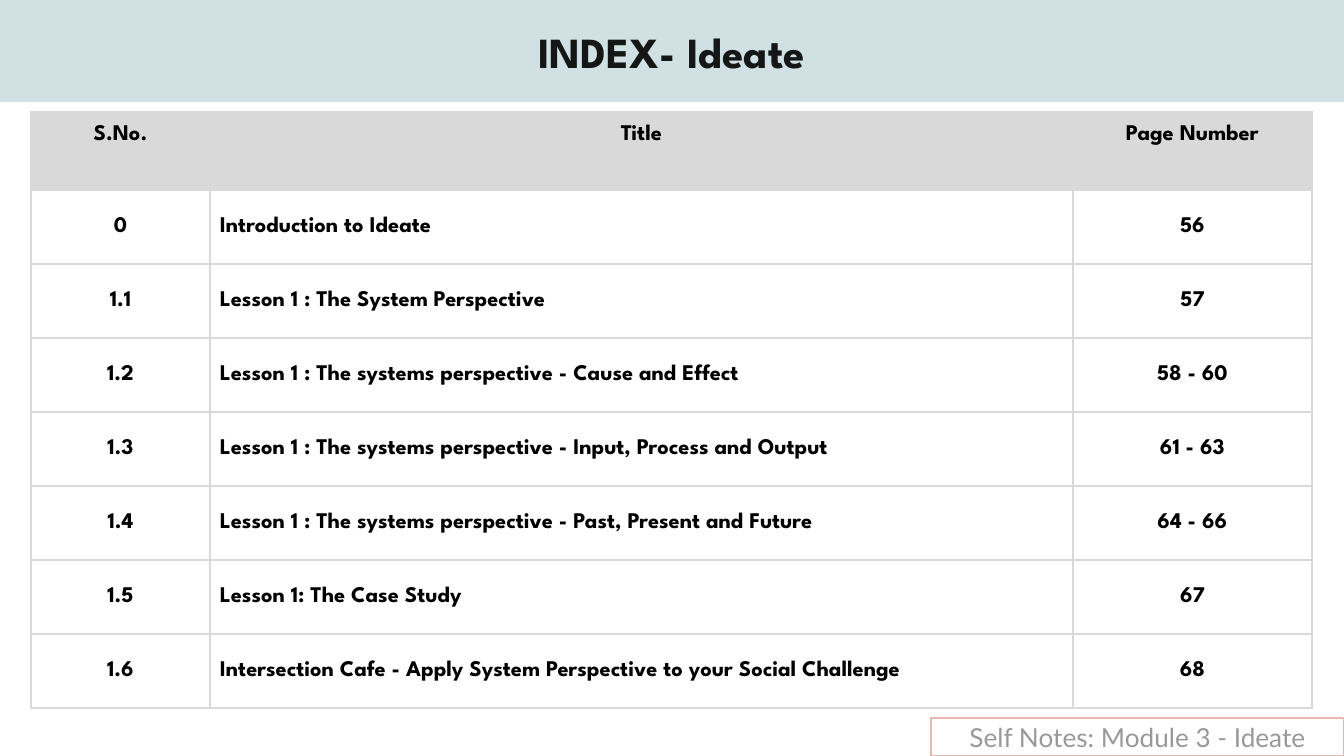
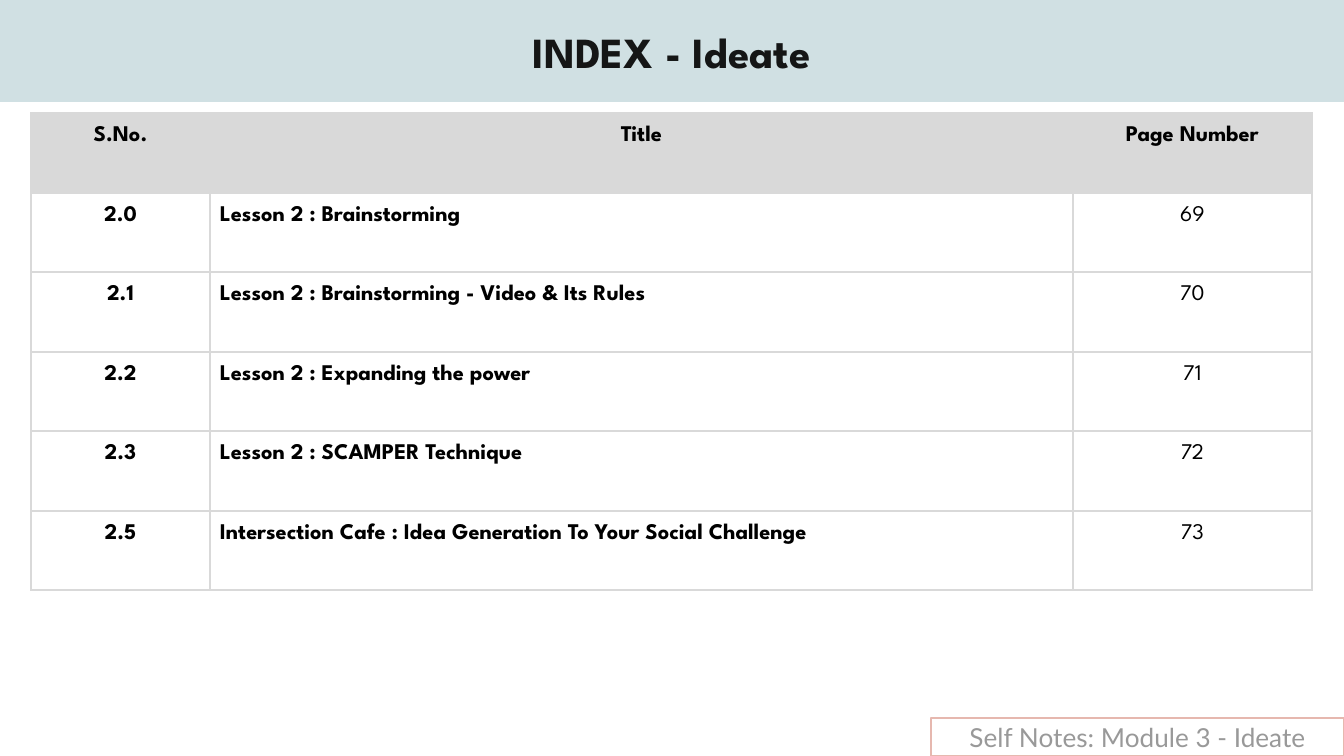
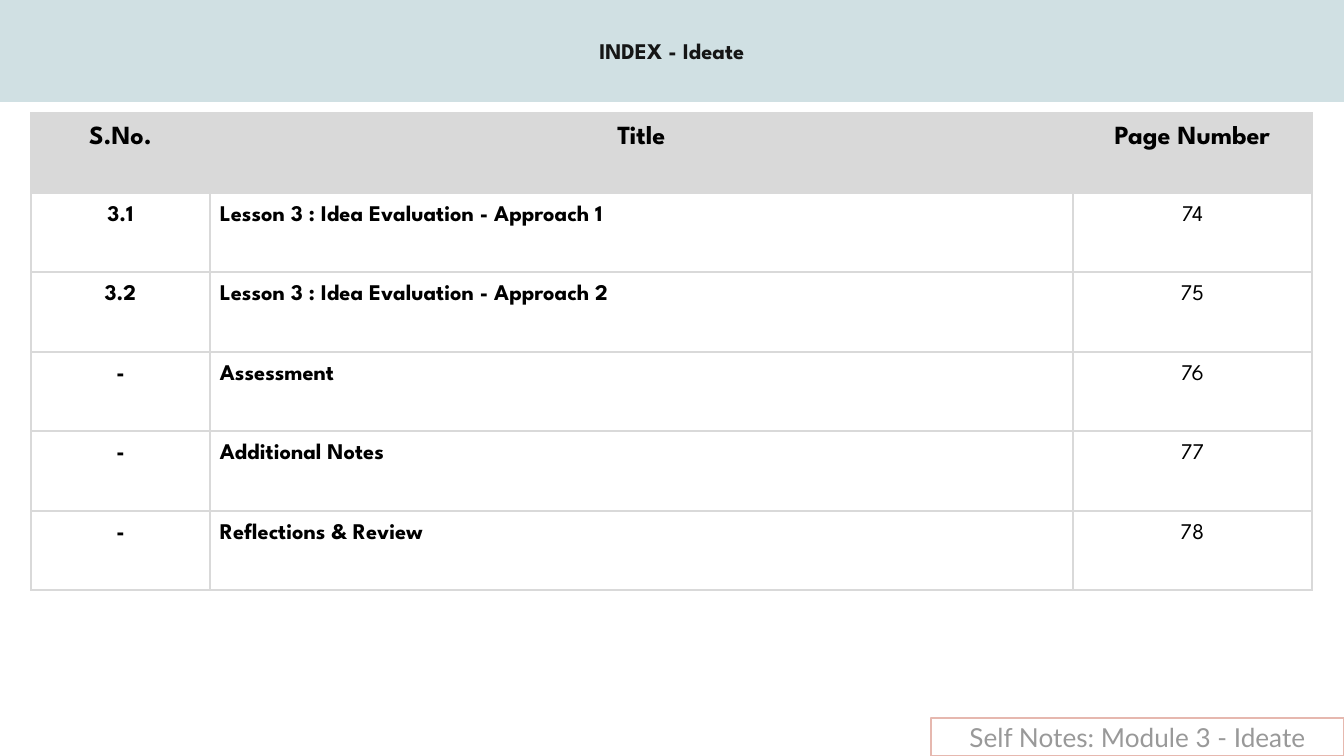
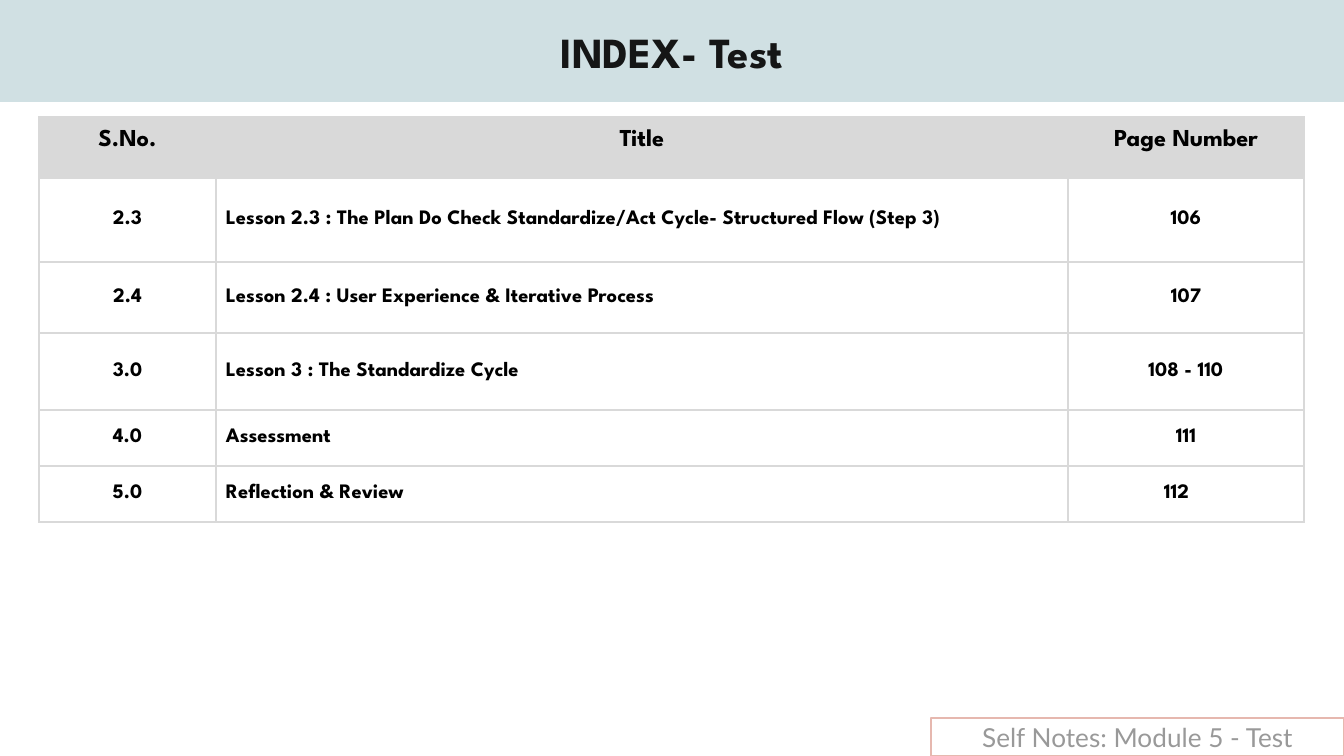
"""Build the four index slides of a course workbook."""
from lxml import etree
from pptx import Presentation
from pptx import util as u
from pptx.dml.color import RGBColor
from pptx.enum import shapes, text
from pptx.oxml.ns import qn

SCALE = 914400 / 134.4
WIDE, HIGH = 1344, 756
BAND, INK, GREY, BLACK = "D0E0E3", "151616", "D9D9D9", "000000"
NOTE, EDGE = "999999", "E6B8AF"
HEAD, BODY = "League Spartan", "Lato"
LEFT, MID = text.PP_ALIGN.LEFT, text.PP_ALIGN.CENTER
TITLES = ["S.No.", "Title", "Page Number"]
COLS = [179, 863, 239]
EVEN = [80, 79] * 3

INTRO = [
    ["0", "Introduction to Ideate", "56"],
    ["1.1", "Lesson 1 : The System Perspective", "57"],
    ["1.2", "Lesson 1 : The systems perspective - Cause and Effect", "58 - 60"],
    ["1.3", "Lesson 1 : The systems perspective - Input, Process and Output", "61 - 63"],
    ["1.4", "Lesson 1 : The systems perspective - Past, Present and Future", "64 - 66"],
    ["1.5", "Lesson 1: The Case Study", "67"],
    ["1.6", "Intersection Cafe - Apply System Perspective to your Social Challenge", "68"],
]
STORM = [
    ["2.0", "Lesson 2 : Brainstorming", "69"],
    ["2.1", "Lesson 2 : Brainstorming - Video & Its Rules", "70"],
    ["2.2", "Lesson 2 : Expanding the power", "71"],
    ["2.3", "Lesson 2 : SCAMPER Technique", "72"],
    ["2.5", "Intersection Cafe : Idea Generation To Your Social Challenge", "73"],
]
REVIEW = [
    ["3.1", "Lesson 3 : Idea Evaluation - Approach 1", "74"],
    ["3.2", "Lesson 3 : Idea Evaluation - Approach 2", "75"],
    ["-", "Assessment", "76"],
    ["-", "Additional Notes", "77"],
    ["-", "Reflections & Review", "78"],
]
TEST = [
    ["2.3", "Lesson 2.3 : The Plan Do Check Standardize/Act Cycle- Structured Flow (Step 3)", "106"],
    ["2.4", "Lesson 2.4 : User Experience & Iterative Process", "107"],
    ["3.0", "Lesson 3 : The Standardize Cycle", "108 - 110"],
    ["4.0", "Assessment", "111"],
    ["5.0", "Reflection & Review", "112"],
]


def px(n):
    """Turn pixels into EMU."""
    return u.Emu(round(n * SCALE))


def color(code):
    """Turn a hex string into a colour."""
    return RGBColor.from_string(code)


def write(frame, words, size, font, ink, bold=False, align=MID):
    """Set one styled paragraph in a text frame."""
    frame.text = words
    para = frame.paragraphs[0]
    para.alignment = align
    for run in para.runs:
        run.font.size = u.Pt(size)
        run.font.name = font
        run.font.bold = bold
        run.font.color.rgb = color(ink)


def inset(item, side, end):
    """Set the margins of a cell or text frame."""
    item.margin_left = item.margin_right = px(side)
    item.margin_top = item.margin_bottom = px(end)


def box(slide, place, words, size, font, ink, fill=None, line=None, bold=False):
    """Add a rectangle with centred text."""
    rect = slide.shapes.add_shape(shapes.MSO_SHAPE.RECTANGLE, *map(px, place))
    rect.shadow.inherit = False
    if fill:
        rect.fill.solid()
        rect.fill.fore_color.rgb = color(fill)
    else:
        rect.fill.background()
    if line:
        rect.line.color.rgb = color(line)
        rect.line.width = u.Pt(0.75)
    else:
        rect.line.fill.background()
    frame = rect.text_frame
    frame.word_wrap = True
    frame.vertical_anchor = text.MSO_ANCHOR.MIDDLE
    inset(frame, 13, 13)
    write(frame, words, size, font, ink, bold)


def border(cell):
    """Draw thin grey lines on all sides of a cell."""
    props = cell._tc.get_or_add_tcPr()
    for spot, side in enumerate(("a:lnL", "a:lnR", "a:lnT", "a:lnB")):
        line = etree.Element(qn(side), w=str(u.Pt(1)))
        solid = etree.SubElement(line, qn("a:solidFill"))
        etree.SubElement(solid, qn("a:srgbClr"), val=GREY)
        props.insert(spot, line)


def index(slide, left, top, cols, rows, data, sizes, middle, bold):
    """Add an index table and return it."""
    place = map(px, (left, top, sum(cols), sum(rows)))
    table = slide.shapes.add_table(len(rows), len(cols), *place).table
    table.first_row = table.horz_banding = False
    for col, width in zip(table.columns, cols):
        col.width = px(width)
    for row, height in zip(table.rows, rows):
        row.height = px(height)
    for r, line in enumerate([TITLES] + data):
        for c, words in enumerate(line):
            cell = table.cell(r, c)
            inset(cell, 10, 13)
            if r == 0:
                cell.fill.solid()
                cell.fill.fore_color.rgb = color(GREY)
            else:
                cell.fill.background()
                if middle:
                    cell.vertical_anchor = text.MSO_ANCHOR.MIDDLE
            border(cell)
            write(cell.text_frame, words, sizes[min(r, 1)], HEAD, BLACK,
                  bold or r == 0 or c < 2, LEFT if r and c == 1 else MID)
    return table


def page(deck, title, note, size=23):
    """Add a slide with its title band and footer."""
    slide = deck.slides.add_slide(deck.slide_layouts[6])
    box(slide, (0, 0, WIDE, 102), title, size, HEAD, INK, fill=BAND, bold=True)
    box(slide, (931, 718, 413, 38), note, 14, BODY, NOTE, line=EDGE)
    return slide


def main():
    """Build and save the deck."""
    deck = Presentation()
    deck.slide_width, deck.slide_height = px(WIDE), px(HIGH)
    ideate = "Self Notes: Module 3 - Ideate"

    slide = page(deck, "INDEX- Ideate", ideate)
    index(slide, 31, 112, COLS, [78] + [74] * 7, INTRO, (12, 12), True, True)

    slide = page(deck, "INDEX - Ideate", ideate)
    index(slide, 31, 113, COLS, EVEN, STORM, (12, 12), False, False)

    slide = page(deck, "INDEX - Ideate", ideate, 12)
    index(slide, 31, 113, COLS, EVEN, REVIEW, (14, 12), False, False)

    slide = page(deck, "INDEX- Test", "Self Notes: Module 5 - Test")
    table = index(slide, 39, 117, [177, 852, 236], [61, 84, 71, 77, 56, 56],
                  TEST, (13, 11), True, True)
    last = table.cell(5, 2)
    last.margin_left = px(96)
    last.text_frame.paragraphs[0].alignment = LEFT

    deck.save("out.pptx")


if __name__ == "__main__":
    main()
